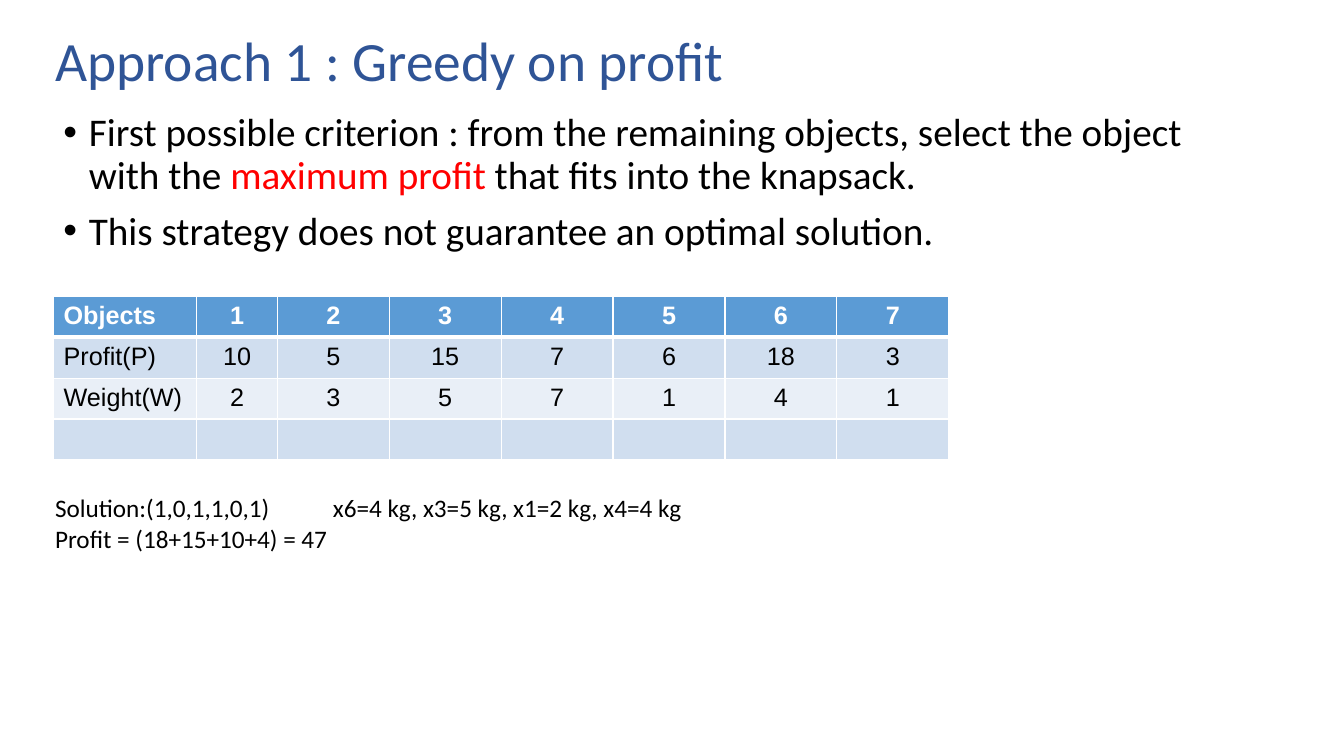
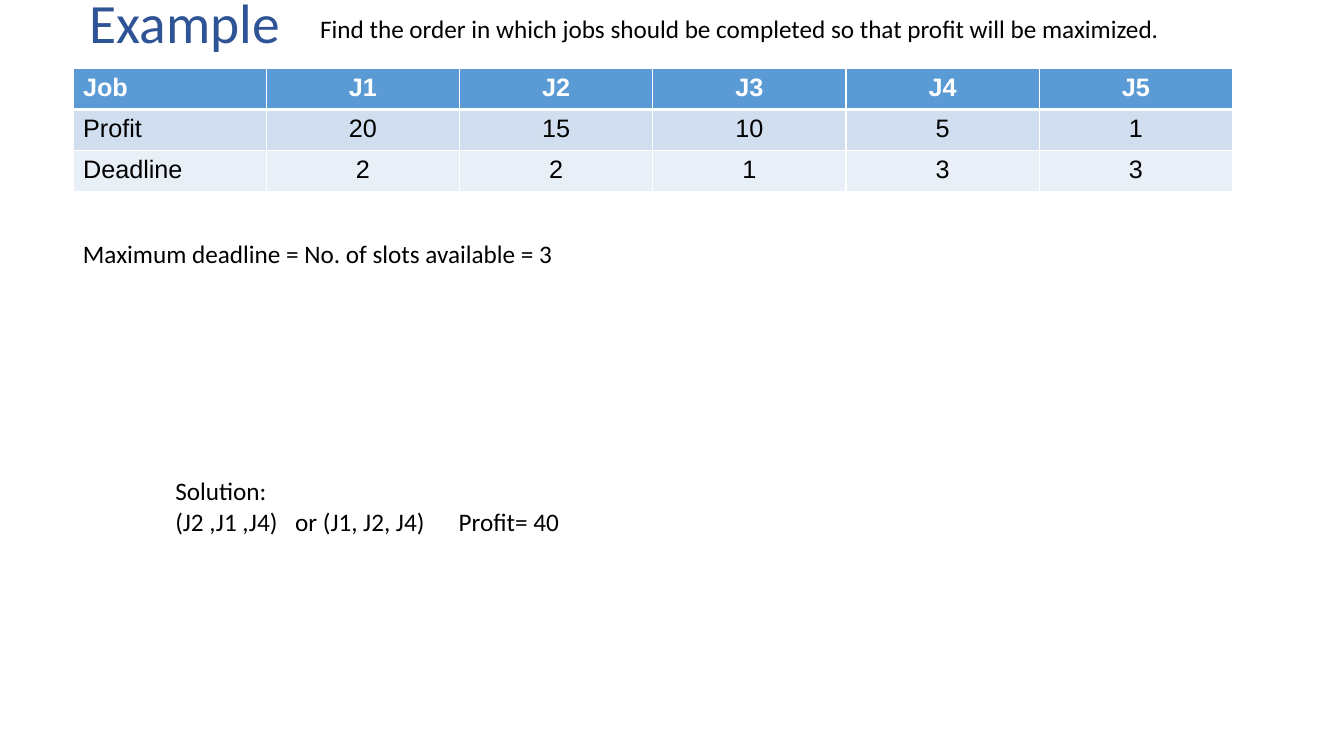
from dataclasses import dataclass

from lxml import etree
from pptx import Presentation
from pptx import util as u
from pptx.dml.color import RGBColor
from pptx.enum import text
from pptx.oxml import ns


@dataclass(frozen=True)
class Theme:
    title_color: RGBColor = RGBColor.from_string("2F5496")
    body_color: RGBColor = RGBColor.from_string("000000")
    accent: RGBColor = RGBColor.from_string("FF0000")
    header_text: RGBColor = RGBColor.from_string("FFFFFF")
    header_fill: RGBColor = RGBColor.from_string("5B9BD5")
    bands: tuple = (RGBColor.from_string("D0DEEF"), RGBColor.from_string("E9EFF7"))
    border: str = "FFFFFF"
    text_font: str = "Calibri"
    table_font: str = "Arial"
    title_size: float = 39.6
    bullet_size: float = 28
    note_size: float = 18
    row_height: float = 1.03


THEME = Theme()


def add_element(parent, tag, **attributes):
    return etree.SubElement(parent, ns.qn(tag), {key: str(value) for key, value in attributes.items()})


def set_font(paragraph, name, size, color, bold=False):
    font = paragraph.font
    font.name, font.size, font.bold = name, u.Pt(size), bold
    font.color.rgb = color


def place(shape, left, top, width, height):
    shape.left, shape.top = u.Cm(left), u.Cm(top)
    shape.width, shape.height = u.Cm(width), u.Cm(height)


def add_titled_slide(presentation, title, *box):
    slide = presentation.slides.add_slide(presentation.slide_layouts[5])
    shape = slide.shapes.title
    place(shape, *box)
    frame = shape.text_frame
    frame.text = title
    frame.auto_size = text.MSO_AUTO_SIZE.NONE
    frame.vertical_anchor = text.MSO_ANCHOR.MIDDLE
    paragraph = frame.paragraphs[0]
    paragraph.alignment = text.PP_ALIGN.LEFT
    paragraph.line_spacing = 0.9
    set_font(paragraph, THEME.text_font, THEME.title_size, THEME.title_color)
    return slide


def add_text_frame(slide, *box):
    frame = slide.shapes.add_textbox(*map(u.Cm, box)).text_frame
    frame.word_wrap = True
    return frame


def add_paragraphs(frame, count):
    for _ in range(count - 1):
        frame.add_paragraph()
    return frame.paragraphs


def add_bullets(slide, items, *box):
    paragraphs = add_paragraphs(add_text_frame(slide, *box), len(items))
    indent = u.Cm(0.64)
    for index, (paragraph, runs) in enumerate(zip(paragraphs, items)):
        properties = paragraph._p.get_or_add_pPr()
        properties.set("marL", str(indent))
        properties.set("indent", str(-indent))
        add_element(properties, "a:buFont", typeface="Arial")
        add_element(properties, "a:buChar", char="•")
        paragraph.line_spacing = 0.9
        paragraph.space_before = u.Pt(10 if index else 0)
        set_font(paragraph, THEME.text_font, THEME.bullet_size, THEME.body_color)
        for content, color in runs:
            run = paragraph.add_run()
            run.text = content
            run.font.color.rgb = color


def add_note(slide, lines, *box, tabs=()):
    frame = add_text_frame(slide, *box)
    frame.auto_size = text.MSO_AUTO_SIZE.SHAPE_TO_FIT_TEXT
    for paragraph, line in zip(add_paragraphs(frame, len(lines)), lines):
        if "\t" in line:
            stops = add_element(paragraph._p.get_or_add_pPr(), "a:tabLst")
            for position in tabs:
                add_element(stops, "a:tab", pos=u.Cm(position), algn="l")
        paragraph.add_run().text = line
        set_font(paragraph, THEME.text_font, THEME.note_size, THEME.body_color)


def set_borders(cell, bottom_width):
    properties = cell._tc.get_or_add_tcPr()
    for side, width in (("L", 1), ("R", 1), ("T", 1), ("B", bottom_width)):
        line = add_element(properties, f"a:ln{side}", w=u.Pt(width))
        add_element(add_element(line, "a:solidFill"), "a:srgbClr", val=THEME.border)


def add_data_table(slide, rows, left, top, column_widths):
    size = sum(column_widths), THEME.row_height * len(rows)
    table = slide.shapes.add_table(len(rows), len(column_widths), *map(u.Cm, (left, top, *size))).table
    for column, width in zip(table.columns, column_widths):
        column.width = u.Cm(width)
    for row_index, values in enumerate(rows):
        header = row_index == 0
        table.rows[row_index].height = u.Cm(THEME.row_height)
        for column_index, value in enumerate(values):
            cell = table.cell(row_index, column_index)
            cell.text = value
            set_borders(cell, 3 if header else 1)
            cell.fill.solid()
            cell.fill.fore_color.rgb = THEME.header_fill if header else THEME.bands[(row_index - 1) % 2]
            paragraph = cell.text_frame.paragraphs[0]
            paragraph.alignment = text.PP_ALIGN.CENTER if column_index else text.PP_ALIGN.LEFT
            color = THEME.header_text if header else THEME.body_color
            set_font(paragraph, THEME.table_font, THEME.note_size, color, header)


def add_greedy_slide(presentation):
    slide = add_titled_slide(presentation, "Approach 1 : Greedy on profit", 1.14, 0.66, 32.7, 1.88)
    add_bullets(slide, [
        [("First possible criterion : from the remaining objects, select the object with the ", THEME.body_color),
         ("maximum profit", THEME.accent),
         (" that fits into the knapsack.", THEME.body_color)],
        [("This strategy does not guarantee an optimal solution.", THEME.body_color)],
    ], 1.35, 2.72, 29.21, 4.24)
    add_data_table(slide, [
        ["Objects", "1", "2", "3", "4", "5", "6", "7"],
        ["Profit(P)", "10", "5", "15", "7", "6", "18", "3"],
        ["Weight(W)", "2", "3", "5", "7", "1", "4", "1"],
        [""] * 8,
    ], 1.35, 7.47, [3.61, 2.03] + [2.82] * 6)
    add_note(slide, [
        "Solution:(1,0,1,1,0,1)\tx6=4 kg, x3=5 kg, x1=2 kg, x4=4 kg",
        "Profit = (18+15+10+4) = 47",
    ], 1.14, 12.29, 22.78, 1.8, tabs=[7])


def add_jobs_slide(presentation):
    slide = add_titled_slide(presentation, "Example", 2.01, 0.2, 29.21, 0.89)
    add_data_table(slide, [
        ["Job", "J1", "J2", "J3", "J4", "J5"],
        ["Profit", "20", "15", "10", "5", "1"],
        ["Deadline", "2", "2", "1", "3", "3"],
    ], 1.84, 1.73, [4.87] * 6)
    add_note(slide, ["Maximum deadline = No. of slots available = 3"], 1.84, 5.87, 29.21, 1.03)
    add_note(slide, ["Solution:", "(J2 ,J1 ,J4)\tor (J1, J2, J4)\tProfit= 40"],
             4.17, 11.86, 19.35, 1.8, tabs=[3.02, 7.14])
    add_note(slide, ["Find the order in which jobs should be completed so that profit will be maximized."],
             7.82, 0.2, 25.1, 1.03)


def main():
    presentation = Presentation()
    presentation.slide_width, presentation.slide_height = u.Cm(33.87), u.Cm(19.05)
    add_greedy_slide(presentation)
    add_jobs_slide(presentation)
    presentation.save("out.pptx")


if __name__ == "__main__":
    main()
